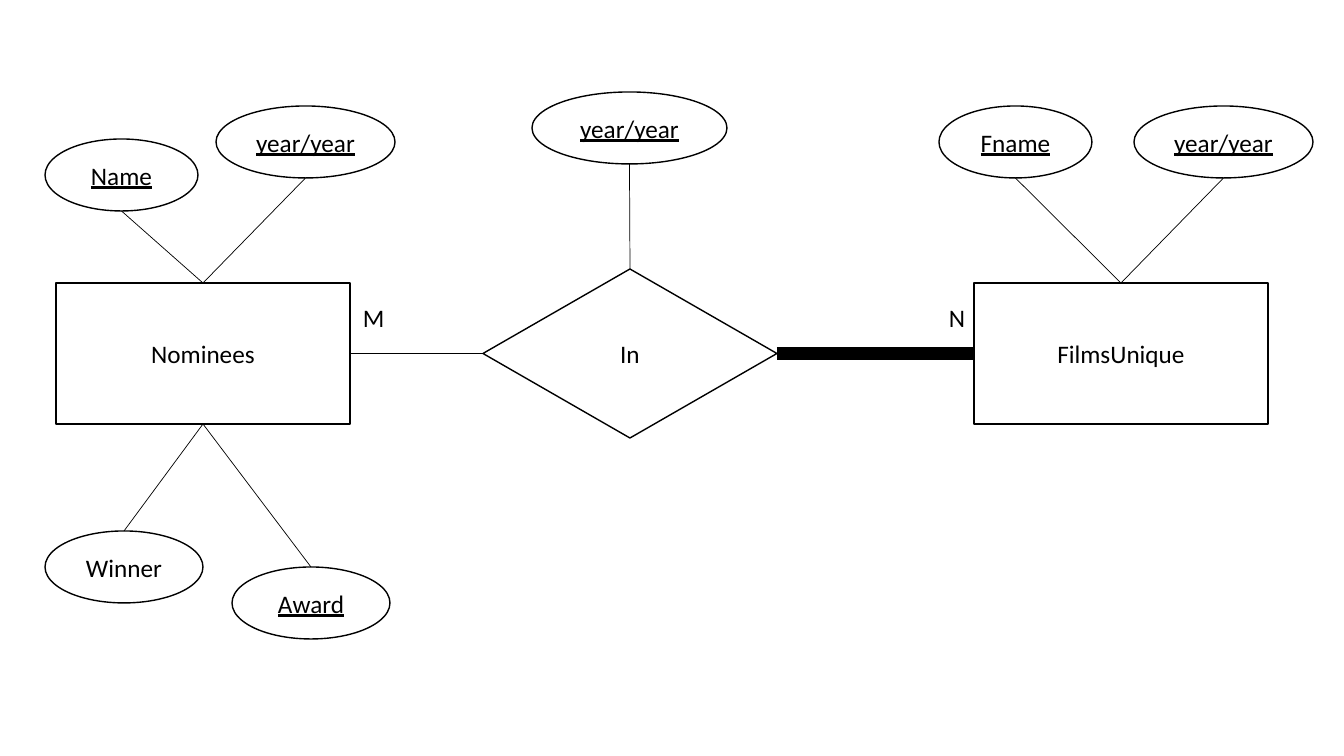
from dataclasses import dataclass

from lxml.etree import SubElement
from pptx import Presentation
from pptx.dml.color import RGBColor
from pptx.enum.shapes import MSO_CONNECTOR, MSO_SHAPE
from pptx.enum.text import MSO_ANCHOR, PP_ALIGN
from pptx.oxml.ns import qn
from pptx.util import Emu, Pt

PIXEL = 914400 / 100.8
BLACK = "000000"


def px(value: float) -> Emu:
    return Emu(round(value * PIXEL))


def color(code: str) -> RGBColor:
    return RGBColor.from_string(code)


@dataclass(frozen=True)
class Node:
    text: str
    left: int
    top: int
    width: int
    height: int
    kind: MSO_SHAPE = MSO_SHAPE.OVAL
    underline: bool = False

    def site(self, side: str) -> tuple[float, float]:
        middle_x = self.left + self.width / 2
        middle_y = self.top + self.height / 2
        return {
            "top": (middle_x, self.top),
            "bottom": (middle_x, self.top + self.height),
            "left": (self.left, middle_y),
            "right": (self.left + self.width, middle_y),
        }[side]


@dataclass(frozen=True)
class Link:
    start: Node
    start_side: str
    end: Node
    end_side: str
    weight: float = 0.5


def entity(text: str, left: int) -> Node:
    return Node(text, left, 283, 294, 141, MSO_SHAPE.RECTANGLE)


def attribute(text: str, left: int, top: int, width: int, key: bool = True) -> Node:
    return Node(text, left, top, width, 72, underline=key)


nominees = entity("Nominees", 56)
films = entity("FilmsUnique", 974)
relation = Node("In", 483, 269, 294, 169, MSO_SHAPE.FLOWCHART_DECISION)
name = attribute("Name", 45, 139, 153)
nominee_year = attribute("year/year", 216, 106, 179)
winner = attribute("Winner", 45, 531, 158, key=False)
award = attribute("Award", 232, 567, 158)
relation_year = attribute("year/year", 532, 92, 195)
film_name = attribute("Fname", 939, 106, 153)
film_year = attribute("year/year", 1134, 106, 179)

NODES = [nominees, films, relation, name, nominee_year, winner, award,
         relation_year, film_name, film_year]
LINKS = [
    *(Link(above, "bottom", below, "top") for above, below in [
        (name, nominees), (nominee_year, nominees), (relation_year, relation),
        (film_name, films), (film_year, films), (nominees, winner), (nominees, award)]),
    Link(nominees, "right", relation, "left"),
    Link(relation, "right", films, "left", weight=9.75),
]


def write(frame, text: str, *, align=PP_ALIGN.LEFT, anchor=MSO_ANCHOR.TOP,
          wrap: bool = True, underline: bool = False) -> None:
    frame.word_wrap = wrap
    frame.vertical_anchor = anchor
    para = frame.paragraphs[0]
    para.alignment = align
    span = para.add_run()
    span.text = text
    span.font.name = "Calibri"
    span.font.size = Pt(18)
    span.font.color.rgb = color(BLACK)
    if underline:
        span.font.underline = True


def draw_node(page, node: Node) -> None:
    shape = page.shapes.add_shape(
        node.kind, px(node.left), px(node.top), px(node.width), px(node.height))
    shape.shadow.inherit = False
    shape.fill.background()
    shape.line.color.rgb = color(BLACK)
    shape.line.width = Pt(1)
    write(shape.text_frame, node.text, align=PP_ALIGN.CENTER,
          anchor=MSO_ANCHOR.MIDDLE, underline=node.underline)


def draw_link(page, link: Link) -> None:
    ends = link.start.site(link.start_side) + link.end.site(link.end_side)
    line = page.shapes.add_connector(MSO_CONNECTOR.STRAIGHT, *map(px, ends))
    line.line.color.rgb = color(BLACK)
    line.line.width = Pt(link.weight)
    SubElement(line._element.spPr, qn("a:effectLst"))


def draw_label(page, text: str, left: int, width: int, wrap: bool) -> None:
    box = page.shapes.add_textbox(px(left), px(297), px(width), px(40))
    write(box.text_frame, text, wrap=wrap)


deck = Presentation()
deck.slide_width, deck.slide_height = px(1344), px(756)
page = deck.slides.add_slide(deck.slide_layouts[6])
for node in NODES:
    draw_node(page, node)
for link in LINKS:
    draw_link(page, link)
draw_label(page, "M", 353, 101, wrap=True)
draw_label(page, "N", 939, 36, wrap=False)
deck.save("out.pptx")
